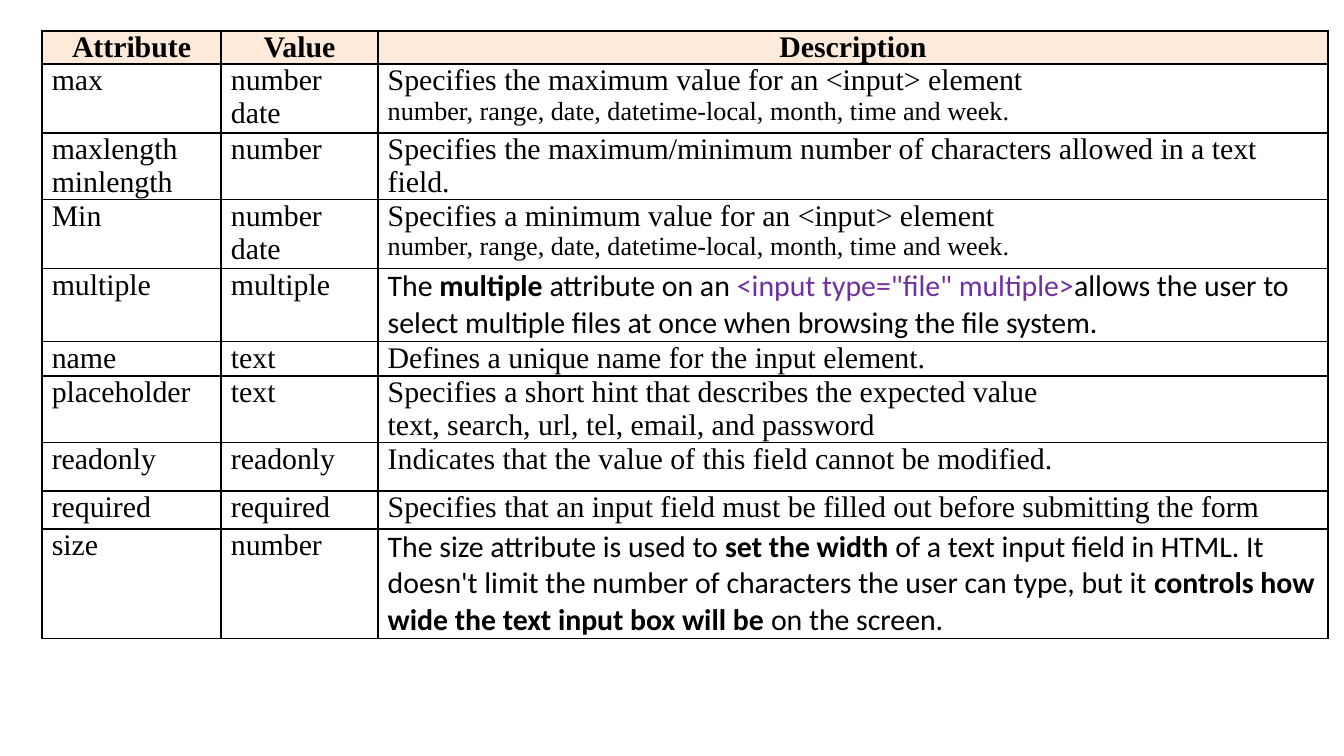
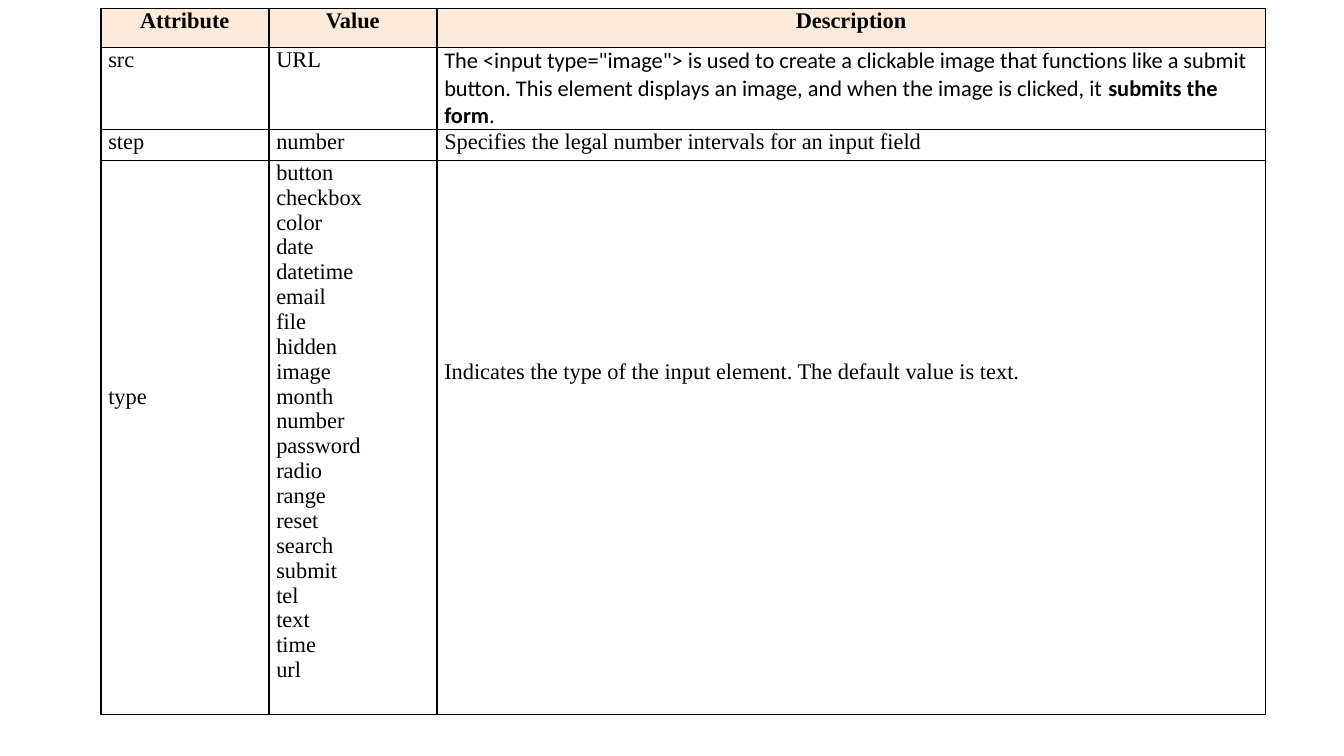
from copy import deepcopy

from lxml import etree
from pptx import Presentation
from pptx.dml.color import RGBColor
from pptx.enum.text import PP_ALIGN
from pptx.oxml.ns import qn
from pptx.util import Pt

CENTER, LEFT = PP_ALIGN.CENTER, PP_ALIGN.LEFT
BLACK = RGBColor(0x00, 0x00, 0x00)
PEACH = RGBColor(0xFD, 0xEA, 0xDA)
PURPLE = RGBColor(0x70, 0x30, 0xA0)
SERIF, SANS = "Times New Roman", "Calibri"

HEADER = ("Attribute", "Value", "Description")
BOLD = {"bold": True}
SMALL = {"size": 14}
NUMBER_DATE = "number\ndate"
RANGE_TYPES = [("number, range, date, datetime-local, month, time and week.", SMALL)]

INPUT_ATTRIBUTES = [
    ("max", NUMBER_DATE,
     ["Specifies the maximum value for an <input> element", RANGE_TYPES]),
    (["maxlength", "minlength"], "number",
     "Specifies the maximum/minimum number of characters allowed in a text field."),
    ("Min", NUMBER_DATE,
     ["Specifies a minimum value for an <input> element", RANGE_TYPES]),
    ("multiple", "multiple", [[
        ("The ", {"font": SANS}),
        ("multiple", {"font": SANS, **BOLD}),
        (" attribute on an ", {"font": SANS}),
        ('<input type="file" multiple>', {"font": SANS, "color": PURPLE}),
        ("allows the user to select multiple files at once when browsing the file system.",
         {"font": SANS})]]),
    ("name", "text", "Defines a unique name for the input element."),
    ("placeholder", "text",
     ["Specifies a short hint that describes the expected value",
      "text, search, url, tel, email, and password"]),
    ("readonly", "readonly", "Indicates that the value of this field cannot be modified."),
    ("required", "required",
     "Specifies that an input field must be filled out before submitting the form"),
    ("size", "number", [[
        ("The size attribute is used to ", {"font": SANS}),
        ("set the width", {"font": SANS, **BOLD}),
        (" of a text input field in HTML. It doesn't limit the number of characters "
         "the user can type, but it ", {"font": SANS}),
        ("controls how wide the text input box will be", {"font": SANS, **BOLD}),
        (" on the screen.", {"font": SANS})]]),
]

INPUT_TYPES = (
    "button checkbox color date datetime email file hidden image month number "
    "password radio range reset search submit tel text time url"
).split()

SOURCE_AND_TYPE = [
    ("src", "URL", [[
        ('The <input type="image"> is used to create a clickable image that functions '
         "like a submit button. This element displays an image, and when the image is "
         "clicked, it ", {"font": SANS}),
        ("submits the form", {"font": SANS, **BOLD}),
        (".", {"font": SANS})]]),
    ("step", "number", "Specifies the legal number intervals for an input field"),
    ("type", "\n".join(INPUT_TYPES),
     "Indicates the type of the input element. The default value is text."),
]


def add_text(p, text, size=16, font=SERIF, color=BLACK, bold=False):
    for i, line in enumerate(text.split("\n")):
        if i:
            p.add_line_break()
            p._p[-1].append(deepcopy(r._r.rPr))
        r = p.add_run()
        r.text = line
        r.font.size = Pt(size)
        r.font.name = font
        r.font.bold = bold
        r.font.color.rgb = color


class Deck:
    def __init__(self):
        self.prs = Presentation()
        self.prs.slide_width, self.prs.slide_height = Pt(720), Pt(405)
        self.slide = None

    def new_slide(self):
        self.slide = self.prs.slides.add_slide(self.prs.slide_layouts[6])

    def borders(self, cell):
        tcPr = cell._tc.get_or_add_tcPr()
        for side in ("a:lnL", "a:lnR", "a:lnT", "a:lnB"):
            ln = etree.SubElement(tcPr, qn(side), w=str(Pt(1)))
            fill = etree.SubElement(ln, qn("a:solidFill"))
            etree.SubElement(fill, qn("a:srgbClr"), val=str(BLACK))

    def cell(self, cell, content, size, inset, header):
        cell.margin_left = cell.margin_right = Pt(inset)
        cell.margin_top = cell.margin_bottom = 0
        self.borders(cell)
        if header:
            cell.fill.solid()
            cell.fill.fore_color.rgb = PEACH
        else:
            cell.fill.background()
        tf = cell.text_frame
        paragraphs = [content] if isinstance(content, str) else content
        for i, runs in enumerate(paragraphs):
            p = tf.add_paragraph() if i else tf.paragraphs[0]
            p.alignment = CENTER if header else LEFT
            if isinstance(runs, str):
                runs = [(runs, {})]
            for text, fmt in runs:
                add_text(p, text, **{"size": size, "bold": header, **fmt})

    def table(self, left, top, widths, heights, rows, size, inset):
        rows = [HEADER, *rows]
        frame = self.slide.shapes.add_table(
            len(rows), len(widths), Pt(left), Pt(top), Pt(sum(widths)), Pt(sum(heights)))
        table = frame.table
        table.first_row = table.horz_banding = False
        for column, width in zip(table.columns, widths):
            column.width = Pt(width)
        for i, (row, height) in enumerate(zip(rows, heights)):
            table.rows[i].height = Pt(height)
            for j, content in enumerate(row):
                self.cell(table.cell(i, j), content, size, inset, header=i == 0)
        return table


def main():
    deck = Deck()

    deck.new_slide()
    deck.table(22.5, 16.5, (96, 84, 509),
               (16.5, 37, 20, 37, 25, 18.5, 20, 26, 20.25, 37),
               INPUT_ATTRIBUTES, size=16, inset=5.25)

    deck.new_slide()
    table = deck.table(54, 4.5, (90, 90, 444), (21, 21, 16.5, 297),
                       SOURCE_AND_TYPE, size=12, inset=4)
    line = 13.33
    table.cell(3, 0).margin_top = Pt(9 * line)
    table.cell(3, 2).margin_top = Pt(8 * line)

    deck.prs.save("out.pptx")


if __name__ == "__main__":
    main()
